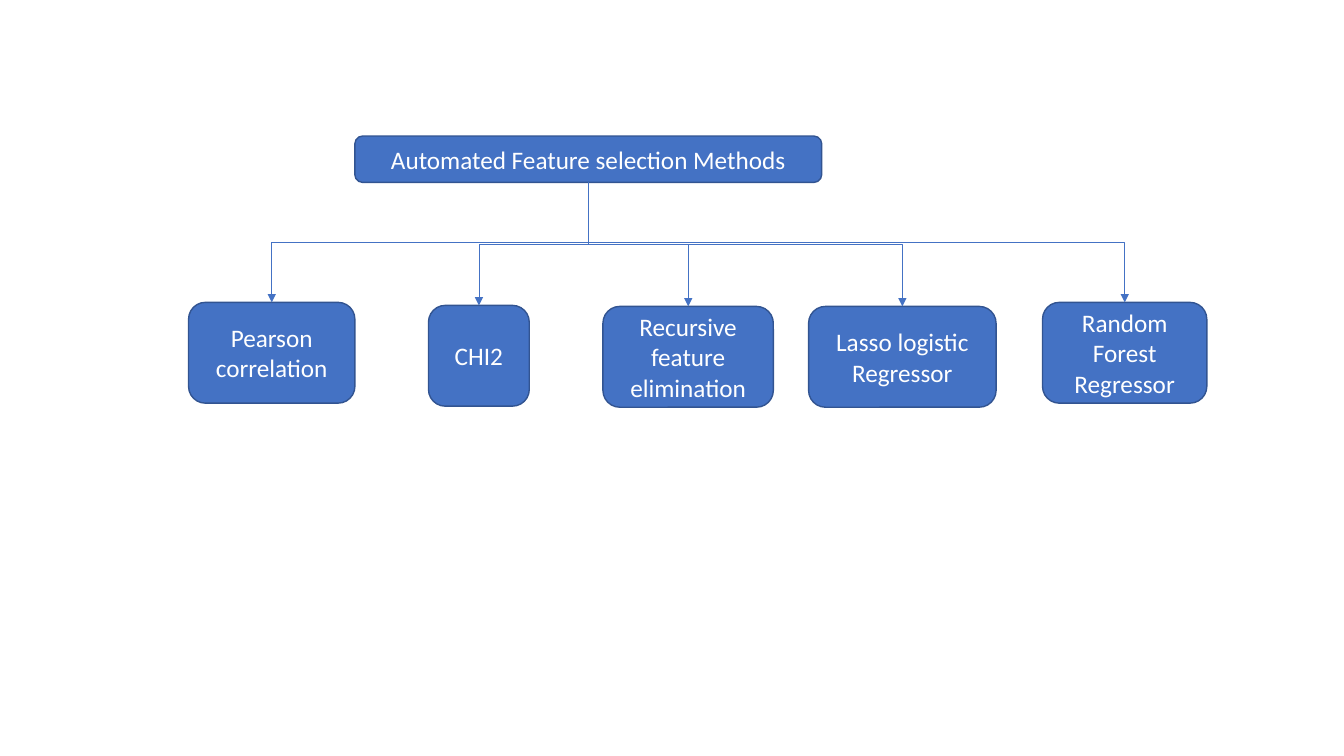
from dataclasses import dataclass

from lxml.etree import SubElement as Sub
from pptx import Presentation
from pptx.dml.color import RGBColor as Rgb
from pptx.enum.shapes import MSO_CONNECTOR as Link, MSO_SHAPE as Shape
from pptx.enum.text import MSO_ANCHOR as Anchor, PP_ALIGN as Align
from pptx.oxml.ns import qn
from pptx.util import Inches, Pt


@dataclass(frozen=True)
class Theme:
    fill: Rgb = Rgb(0x44, 0x72, 0xC4)
    edge: Rgb = Rgb(0x32, 0x54, 0x91)
    ink: Rgb = Rgb(0xFF, 0xFF, 0xFF)
    font: str = "Calibri"
    size: Pt = Pt(18)
    rim: Pt = Pt(1)
    wire: Pt = Pt(0.5)


THEME = Theme()
ROOT = ("Automated Feature selection Methods", 3.52, 1.35, 4.63, 0.46)

# Text, left, top, width
METHODS = [
    ("Pearson correlation", 1.87, 3, 1.65),
    ("CHI2", 4.25, 3.03, 1),
    ("Recursive feature elimination", 5.98, 3.04, 1.69),
    ("Lasso logistic Regressor", 8.02, 3.04, 1.86),
    ("Random Forest Regressor", 10.34, 3, 1.63),
]
HEIGHT = 1
BOTTOM, TOP = 2, 0  # connection sites of a box


def apply(item, values):
    for name, value in values.items():
        setattr(item, name, value)


def add_box(slide, text, left, top, width, height):
    spot = [Inches(v) for v in (left, top, width, height)]
    box = slide.shapes.add_shape(Shape.ROUNDED_RECTANGLE, *spot)
    box.shadow.inherit = False
    box.fill.solid()
    box.fill.fore_color.rgb = THEME.fill
    box.line.color.rgb = THEME.edge
    box.line.width = THEME.rim
    frame = box.text_frame
    apply(frame, {"word_wrap": True, "vertical_anchor": Anchor.MIDDLE})
    para = frame.paragraphs[0]
    para.alignment = Align.CENTER
    run = para.add_run()
    run.text = text
    apply(run.font, {"name": THEME.font, "size": THEME.size})
    run.font.color.rgb = THEME.ink


def turn(link):
    """Make the elbow leave downwards and arrive from above."""
    dx = link.end_x - link.begin_x
    dy = link.end_y - link.begin_y
    mid_x = (link.begin_x + link.end_x) // 2
    mid_y = (link.begin_y + link.end_y) // 2
    wide, high = dy, abs(dx)
    frame = link._element.spPr.find(qn("a:xfrm"))
    frame.attrib.clear()
    frame.set("rot", str((90 if dx < 0 else 270) * 60000))
    if dx > 0:
        frame.set("flipH", "1")
    marks = {
        "a:off": {"x": mid_x - wide // 2, "y": mid_y - high // 2},
        "a:ext": {"cx": wide, "cy": high},
    }
    for tag, values in marks.items():
        for name, value in values.items():
            frame.find(qn(tag)).set(name, str(value))


def add_arrow(slide, start, end):
    link = slide.shapes.add_connector(Link.ELBOW, 0, 0, 0, 0)
    link.begin_connect(start, BOTTOM)
    link.end_connect(end, TOP)
    turn(link)
    link.line.color.rgb = THEME.fill
    link.line.width = THEME.wire
    Sub(link.line._get_or_add_ln(), qn("a:tailEnd"), type="triangle")
    Sub(link._element.spPr, qn("a:effectLst"))


def main():
    deck = Presentation()
    apply(deck, {"slide_width": Inches(13.33), "slide_height": Inches(7.5)})
    slide = deck.slides.add_slide(deck.slide_layouts[6])

    # Boxes
    add_box(slide, *ROOT)
    for method in METHODS:
        add_box(slide, *method, HEIGHT)

    # Arrows from the root to each method
    root, *boxes = list(slide.shapes)
    for box in boxes:
        add_arrow(slide, root, box)

    deck.save("out.pptx")


if __name__ == "__main__":
    main()
